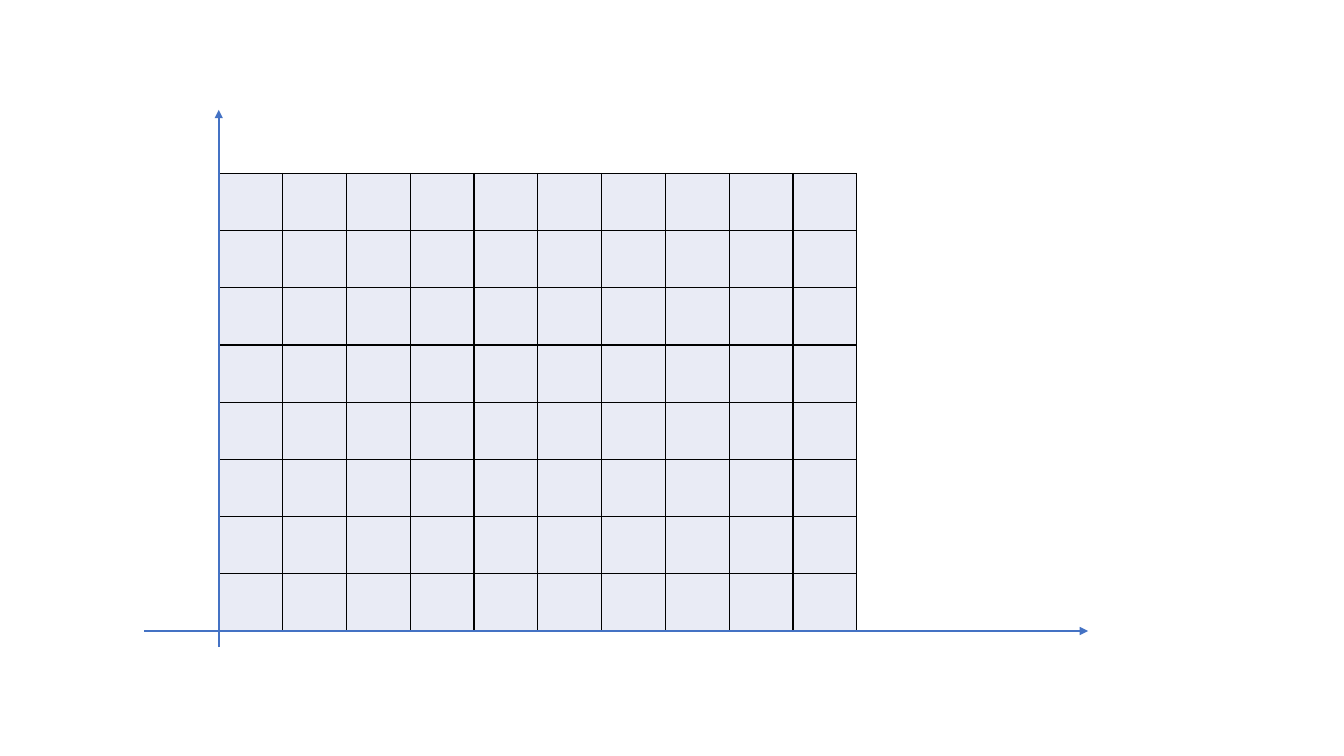
import lxml.etree
import pptx
import pptx.dml.color
import pptx.enum.shapes
import pptx.oxml.ns
import pptx.util

CELL_FILL = pptx.dml.color.RGBColor(0xE9, 0xEB, 0xF5)
CELL_BORDER = pptx.dml.color.RGBColor(0x00, 0x00, 0x00)
AXIS_BLUE = pptx.dml.color.RGBColor(0x44, 0x72, 0xC4)

COLUMNS, ROWS = 10, 8
ORIGIN_X, ORIGIN_Y = 2.17, 6.26
COLUMN_WIDTH = 6.33 / COLUMNS
ROW_HEIGHT = 4.54 / ROWS


def add_element(parent, tag, **attributes):
    return lxml.etree.SubElement(parent, pptx.oxml.ns.qn(tag), attributes)


class GridChart:
    """Draws on a slide in columns right of, and rows above, the axes' origin."""

    border_width = pptx.util.Pt(1)
    axis_width = pptx.util.Pt(1.5)

    def __init__(self, slide):
        self.slide = slide

    def point(self, column, row):
        return (pptx.util.Inches(ORIGIN_X + column * COLUMN_WIDTH),
                pptx.util.Inches(ORIGIN_Y - row * ROW_HEIGHT))

    def add_border(self, cell):
        properties = cell._tc.get_or_add_tcPr()
        for side in ("a:lnL", "a:lnR", "a:lnT", "a:lnB"):
            line = add_element(properties, side, w=str(self.border_width))
            fill = add_element(line, "a:solidFill")
            add_element(fill, "a:srgbClr", val=str(CELL_BORDER))

    def add_grid(self, columns, rows):
        left, top = self.point(0, rows)
        right, bottom = self.point(columns, 0)
        table = self.slide.shapes.add_table(
            rows, columns, left, top, right - left, bottom - top).table
        table.first_row = False
        table.horz_banding = False
        for cell in table.iter_cells():
            self.add_border(cell)
            cell.fill.solid()
            cell.fill.fore_color.rgb = CELL_FILL

    def add_axis(self, start, end):
        axis = self.slide.shapes.add_connector(
            pptx.enum.shapes.MSO_CONNECTOR.STRAIGHT,
            *self.point(*start), *self.point(*end))
        axis.line.color.rgb = AXIS_BLUE
        axis.line.width = self.axis_width
        add_element(axis.line._get_or_add_ln(), "a:tailEnd", type="triangle")
        add_element(axis._element.spPr, "a:effectLst")


def main():
    presentation = pptx.Presentation()
    presentation.slide_width = pptx.util.Inches(13.33)
    presentation.slide_height = pptx.util.Inches(7.5)
    slide = presentation.slides.add_slide(presentation.slide_layouts[6])

    chart = GridChart(slide)
    chart.add_grid(COLUMNS, ROWS)
    chart.add_axis(start=(-1.17, 0), end=(13.62, 0))
    chart.add_axis(start=(0, -0.28), end=(0, 9.11))

    presentation.save("out.pptx")


if __name__ == "__main__":
    main()
